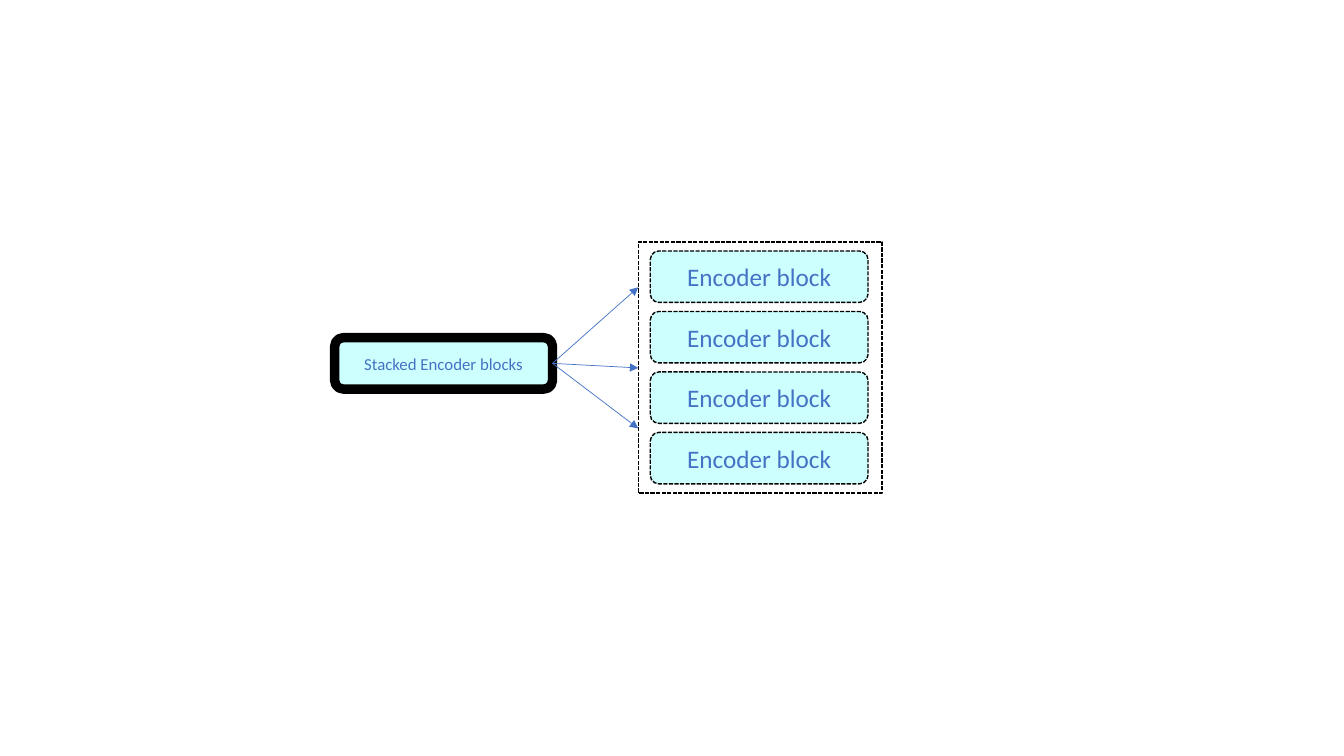
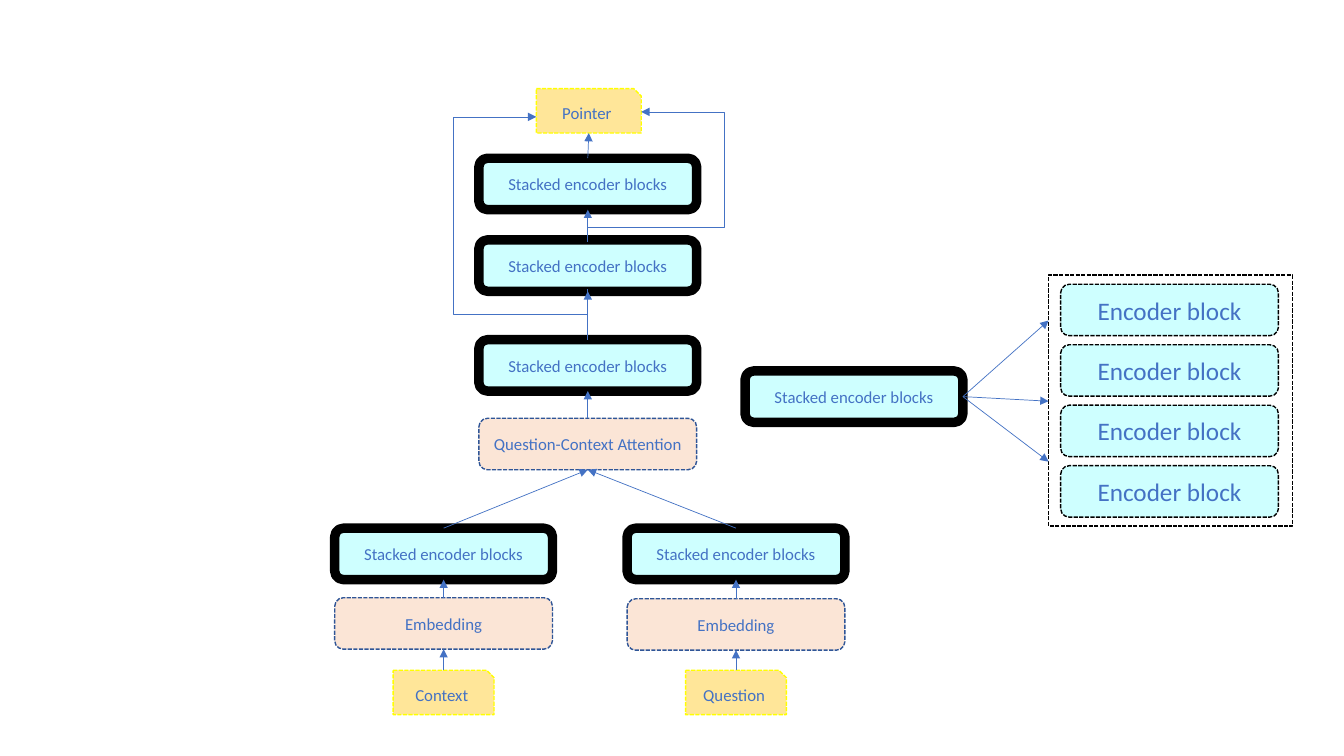
import lxml.etree
import pptx
import pptx.dml.color
import pptx.enum.dml
import pptx.enum.shapes
import pptx.enum.text
import pptx.oxml.ns
import pptx.util

PX = 9144  # 100 px to the inch
SHAPES = pptx.enum.shapes.MSO_SHAPE
RGBColor = pptx.dml.color.RGBColor
DASH = pptx.enum.dml.MSO_LINE.SQUARE_DOT
SOLID = pptx.enum.dml.MSO_LINE.SOLID

BLACK = RGBColor(0x00, 0x00, 0x00)
BLUE = RGBColor(0x44, 0x72, 0xC4)
DARK_BLUE = RGBColor(0x2F, 0x55, 0x97)
CYAN = RGBColor(0xCE, 0xFF, 0xFF)
PEACH = RGBColor(0xFB, 0xE5, 0xD6)
GOLD = RGBColor(0xFF, 0xE6, 0x99)
YELLOW = RGBColor(0xFF, 0xFF, 0x00)

ROUNDED = SHAPES.ROUNDED_RECTANGLE
STYLES = {
    "frame": dict(preset=SHAPES.RECTANGLE, fill=None, line=BLACK, weight=1, dash=DASH, size=18),
    "encoder": dict(preset=ROUNDED, fill=CYAN, line=BLACK, weight=1, dash=DASH, size=18),
    "stack": dict(preset=ROUNDED, fill=CYAN, line=BLACK, weight=6.75, dash=SOLID, size=12),
    "layer": dict(preset=ROUNDED, fill=PEACH, line=DARK_BLUE, weight=1, dash=DASH, size=12),
    "end": dict(preset=SHAPES.SNIP_1_RECTANGLE, fill=GOLD, line=YELLOW, weight=1, dash=DASH, size=12),
}
BLOCK_WIDTH, BLOCK_HEIGHT = 216, 51


def add_box(slide, kind, left, top, text="", width=BLOCK_WIDTH, height=BLOCK_HEIGHT):
    style = STYLES[kind]
    box = slide.shapes.add_shape(style["preset"], left * PX, top * PX, width * PX, height * PX)
    box.shadow.inherit = False
    if style["fill"] is None:
        box.fill.background()
    else:
        box.fill.solid()
        box.fill.fore_color.rgb = style["fill"]
    box.line.color.rgb = style["line"]
    box.line.width = pptx.util.Pt(style["weight"])
    box.line.dash_style = style["dash"]
    if text:
        box.text_frame.text = text
        box.text_frame.vertical_anchor = pptx.enum.text.MSO_ANCHOR.MIDDLE
        paragraph = box.text_frame.paragraphs[0]
        paragraph.alignment = pptx.enum.text.PP_ALIGN.CENTER
        font = paragraph.runs[0].font
        for name, value in {"name": "Calibri", "size": pptx.util.Pt(style["size"])}.items():
            setattr(font, name, value)
        font.color.rgb = BLUE
    return box


def add_arrow(slide, points):
    """Draw a straight connector through two EMU points, or a bent route through more."""
    if len(points) == 2:
        arrow = slide.shapes.add_connector(
            pptx.enum.shapes.MSO_CONNECTOR.STRAIGHT, *points[0], *points[1])
    else:
        builder = slide.shapes.build_freeform(*points[0])
        builder.add_line_segments(points[1:], close=False)
        arrow = builder.convert_to_shape()
        arrow.fill.background()
    arrow.line.color.rgb = BLUE
    arrow.line.width = pptx.util.Pt(0.5)
    properties = arrow.element.spPr
    outline = properties.find(pptx.oxml.ns.qn("a:ln"))
    lxml.etree.SubElement(outline, pptx.oxml.ns.qn("a:tailEnd"), type="triangle")
    lxml.etree.SubElement(properties, pptx.oxml.ns.qn("a:effectLst"))
    return arrow


presentation = pptx.Presentation()
presentation.slide_width = 1333 * PX
presentation.slide_height = 750 * PX

# Both slides unfold one stack into its four encoder blocks
for frame_left, frame_top, label in (
    (633, 240, "Stacked Encoder blocks"),
    (1040, 273, "Stacked encoder blocks"),
):
    slide = presentation.slides.add_slide(presentation.slide_layouts[6])
    add_box(slide, "frame", frame_left, frame_top, width=242, height=249)
    for row in range(4):
        add_box(slide, "encoder", frame_left + 12, frame_top + 9 + 60 * row, "Encoder block")
    stack = add_box(slide, "stack", frame_left - 301, frame_top + 95, label)
    start = (stack.left + stack.width, stack.top + stack.height // 2)
    for drop in (45, 125, 185):
        arrow = add_arrow(slide, [start, (frame_left * PX, (frame_top + drop) * PX)])
        arrow.begin_connect(stack, 3)

# The second slide adds the whole network, built from the bottom up
attention = add_box(slide, "layer", 475, 415, "Question-Context Attention")
first, second, third = [
    add_box(slide, "stack", 475, top, "Stacked encoder blocks") for top in (337, 238, 157)
]
pointer = add_box(slide, "end", 532, 88, "Pointer", 104, 44)
links = [(attention, first), (first, second), (second, third), (third, pointer)]

for left, embedding_top, name in ((332, 593, "Context"), (622, 594, "Question")):
    source = add_box(slide, "end", left + 58, 665, name, 100, 44)
    embedding = add_box(slide, "layer", left, embedding_top, "Embedding")
    stack = add_box(slide, "stack", left, 524, "Stacked encoder blocks")
    links += [(source, embedding), (embedding, stack), (stack, attention)]

for lower, upper in links:
    arrow = add_arrow(slide, [
        (lower.left + lower.width // 2, lower.top),
        (upper.left + upper.width // 2, upper.top + upper.height),
    ])
    if lower.auto_shape_type == ROUNDED:
        arrow.begin_connect(lower, 0)
    if upper.auto_shape_type == ROUNDED:
        arrow.end_connect(upper, 2)

# Side routes carry the lower stacks' output to the pointer
for route in (
    [(583, 287), (583, 312), (450, 312), (450, 116), (532, 116)],
    [(583, 240), (583, 226), (718, 226), (718, 111), (636, 111)],
):
    add_arrow(slide, [(x * PX, y * PX) for x, y in route])

presentation.save("out.pptx")
